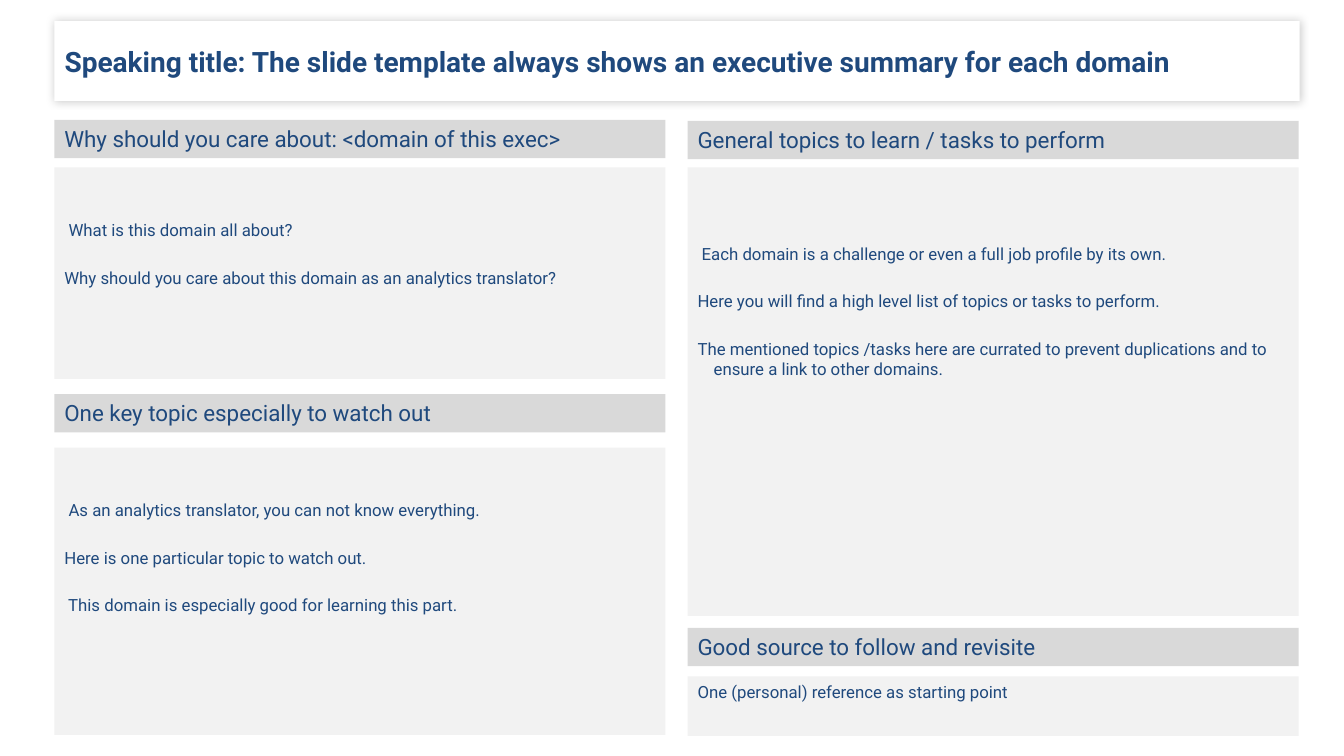
from dataclasses import dataclass

from lxml import etree
from pptx import Presentation
from pptx import util as u
from pptx.dml.color import RGBColor
from pptx.enum import shapes, text
from pptx.oxml import ns


@dataclass(frozen=True)
class Theme:
    font: str = "Roboto"
    ink: str = "1F497D"
    title_fill: str = "FFFFFF"
    header_fill: str = "D9D9D9"
    panel_fill: str = "F2F2F2"
    shadow: str = "000000"
    title_size: int = 20
    header_size: int = 16
    body_size: int = 12


THEME = Theme()
LEFT, RIGHT = 0.54, 6.82
COLUMN_WIDTH = 6.06
HEADER_HEIGHT = 0.38
INSET = 0.05
LINE_PITCH = 0.235
PARAGRAPH_GAP = u.Pt(19.6)

# column, header top, header, panel top, panel height, lines above text, paragraphs
SECTIONS = [
    (LEFT, 1.19, "Why should you care about: <domain of this exec>", 1.66, 2.1, 2, [
        " What is this domain all about?",
        "Why should you care about this domain as an analytics translator?",
    ]),
    (RIGHT, 1.2, "General topics to learn / tasks to perform", 1.66, 4.45, 3, [
        " Each domain is a challenge or even a full job profile by its own.",
        "Here you will find a high level list of topics or tasks to perform.",
        "The mentioned topics /tasks here are currated to prevent duplications "
        "and to ensure a link to other domains.",
    ]),
    (LEFT, 3.91, "One key topic especially to watch out", 4.44, 2.85, 2, [
        " As an analytics translator, you can not know everything.",
        "Here is one particular topic to watch out.",
        " This domain is especially good for learning this part.",
    ]),
    (RIGHT, 6.23, "Good source to follow and revisite", 6.71, 0.59, 0, [
        "One (personal) reference as starting point",
    ]),
]


def set_fill(sp, color):
    sp.fill.solid()
    sp.fill.fore_color.rgb = RGBColor.from_string(color)
    sp.line.fill.background()


def set_frame(sp, top_inset=INSET, anchor=text.MSO_ANCHOR.TOP):
    tf = sp.text_frame
    tf.word_wrap = True
    tf.auto_size = text.MSO_AUTO_SIZE.NONE
    tf.vertical_anchor = anchor
    tf.margin_left = tf.margin_right = u.Inches(0.1)
    tf.margin_top, tf.margin_bottom = u.Inches(top_inset), u.Inches(INSET)
    return tf


def add_run(p, words, size, bold=False):
    p.alignment = text.PP_ALIGN.LEFT
    r = p.add_run()
    r.text = words
    r.font.name = THEME.font
    r.font.size = u.Pt(size)
    r.font.bold = bold
    r.font.color.rgb = RGBColor.from_string(THEME.ink)


def add_soft_shadow(sp):
    """Give the shape an even blur on all sides."""
    effects = etree.SubElement(sp._element.spPr, ns.qn("a:effectLst"))
    shadow = etree.SubElement(effects, ns.qn("a:outerShdw"), blurRad=str(u.Pt(6)),
                              dist="0", dir="18900000", algn="bl", rotWithShape="0")
    color = etree.SubElement(shadow, ns.qn("a:srgbClr"), val=THEME.shadow)
    etree.SubElement(color, ns.qn("a:alpha"), val="20000")


def set_title(s, words):
    sp = s.shapes.title
    sp.left, sp.top = u.Inches(LEFT), u.Inches(0.21)
    sp.width, sp.height = u.Inches(12.35), u.Inches(0.79)
    set_fill(sp, THEME.title_fill)
    add_soft_shadow(sp)
    tf = set_frame(sp, anchor=text.MSO_ANCHOR.MIDDLE)
    add_run(tf.paragraphs[0], words, THEME.title_size, bold=True)


def add_box(s, left, top, height, color):
    sp = s.shapes.add_shape(shapes.MSO_SHAPE.RECTANGLE, u.Inches(left), u.Inches(top),
                            u.Inches(COLUMN_WIDTH), u.Inches(height))
    sp.shadow.inherit = False
    set_fill(sp, color)
    return sp


def add_header(s, left, top, words):
    sp = add_box(s, left, top, HEADER_HEIGHT, THEME.header_fill)
    add_run(set_frame(sp).paragraphs[0], words, THEME.header_size)


def add_panel(s, left, top, height, lines_above, paragraphs):
    sp = add_box(s, left, top, height, THEME.panel_fill)
    tf = set_frame(sp, INSET + lines_above * LINE_PITCH)
    for i, words in enumerate(paragraphs):
        p = tf.add_paragraph() if i else tf.paragraphs[0]
        if i:
            p.space_before = PARAGRAPH_GAP
        pPr = p._p.get_or_add_pPr()
        pPr.set("marL", str(u.Inches(0.16)))
        pPr.set("indent", str(-u.Inches(0.16)))
        add_run(p, words, THEME.body_size)


def main():
    prs = Presentation()
    prs.slide_width, prs.slide_height = u.Inches(13.33), u.Inches(7.5)
    s = prs.slides.add_slide(prs.slide_layouts[5])
    set_title(s, "Speaking title: The slide template always shows "
                 "an executive summary for each domain")
    for left, header_top, header, top, height, lines_above, paragraphs in SECTIONS:
        add_header(s, left, header_top, header)
        add_panel(s, left, top, height, lines_above, paragraphs)
    prs.save("out.pptx")


if __name__ == "__main__":
    main()
